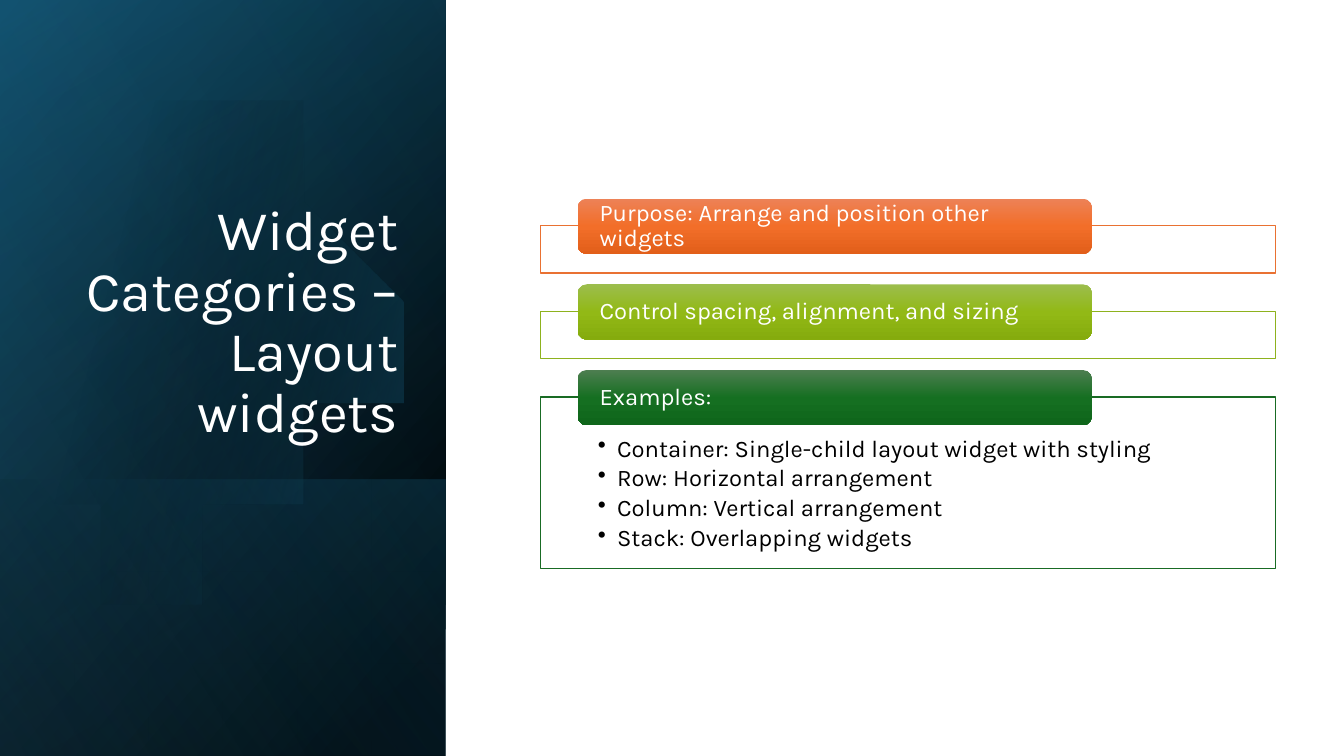
from pptx import Presentation
from pptx.dml.color import RGBColor
from pptx.enum import shapes, text
from pptx.oxml import parse_xml
from pptx.oxml import ns
from pptx.util import Inches, Pt

WHITE = RGBColor(0xFF, 0xFF, 0xFF)
BLACK = RGBColor(0x00, 0x00, 0x00)
NAVY = RGBColor(0x10, 0x48, 0x62)
TEAL = RGBColor(0x15, 0x60, 0x82)
SKY = RGBColor(0x46, 0xB1, 0xE1)
ORANGE = RGBColor(0xE9, 0x71, 0x32)
LIME = RGBColor(0x8E, 0xB2, 0x1E)
GREEN = RGBColor(0x19, 0x6B, 0x24)
ORANGE_SHADES = [RGBColor(0xED, 0x82, 0x57), RGBColor(0xF2, 0x6E, 0x29), RGBColor(0xE2, 0x5F, 0x1A)]
LIME_SHADES = [RGBColor(0x9C, 0xBD, 0x4E), RGBColor(0x92, 0xB9, 0x16), RGBColor(0x85, 0xAB, 0x0D)]
GREEN_SHADES = [RGBColor(0x4D, 0x7E, 0x50), RGBColor(0x15, 0x6F, 0x21), RGBColor(0x0F, 0x66, 0x1B)]

PANEL_WIDTH = 4.42
SLIDE_HEIGHT = 7.5
LABEL_OFFSET = 0.27
ROW_GAP = 0.11

# Each layer: top, height, gradient angle, stops of (position, colour, opacity)
PANEL_LAYERS = [
    (0, SLIDE_HEIGHT, 50, [(8, BLACK, 100), (100, NAVY, 100)]),
    (0, SLIDE_HEIGHT, 30, [(0, BLACK, 0), (99, TEAL, 46)]),
    (4.76, 2.74, 130, [(2, TEAL, 29), (100, BLACK, 30)]),
]
SHEEN = (0, SLIDE_HEIGHT, 120, [(0, BLACK, 0), (99, SKY, 11)])

CIRCLE_START = (1.49, 1.1)
CIRCLE_RIGHT = [
    [(2.46, 1.12), (3.35, 1.77), (3.63, 2.75)],
    [(3.98, 3.97), (3.28, 5.23), (2.07, 5.58)],
    [(1.31, 5.8), (0.53, 5.61), (0, 5.16)],
]
CIRCLE_LEFT = [
    [(0.23, 1.42), (0.5, 1.28), (0.8, 1.19)],
    [(1.03, 1.13), (1.26, 1.1), CIRCLE_START],
]

ROWS = [
    ("Purpose: Arrange and position other widgets", 0.47, ORANGE, ORANGE_SHADES, []),
    ("Control spacing, alignment, and sizing", 0.47, LIME, LIME_SHADES, []),
    ("Examples:", 1.7, GREEN, GREEN_SHADES, [
        "Container: Single-child layout widget with styling",
        "Row: Horizontal arrangement",
        "Column: Vertical arrangement",
        "Stack: Overlapping widgets",
    ]),
]


def curve_points(start, segments, steps=24):
    """Sample a chain of cubic Bézier segments."""
    points = []
    for first, second, end in segments:
        for step in range(1, steps + 1):
            t = step / steps
            u = 1 - t
            points.append(tuple(
                u**3 * a + 3 * u * u * t * b + 3 * u * t * t * c + t**3 * d
                for a, b, c, d in zip(start, first, second, end)))
        start = end
    return points


class WidgetSlide:
    font = "Karla"
    body_size = 17

    def __init__(self, presentation):
        self.slide = presentation.slides.add_slide(presentation.slide_layouts[5])

    def gradient(self, shape, angle, stops):
        """Fill with a linear gradient whose stops may be translucent."""
        shape.fill.background()
        marks = "".join(
            f'<a:gs pos="{position * 1000}"><a:srgbClr val="{color}">'
            f'<a:alpha val="{opacity * 1000}"/></a:srgbClr></a:gs>'
            for position, color, opacity in stops)
        properties = shape.element.spPr
        properties.replace(properties.find(ns.qn("a:noFill")), parse_xml(
            f'<a:gradFill {ns.nsdecls("a")} rotWithShape="1"><a:gsLst>{marks}</a:gsLst>'
            f'<a:lin ang="{angle * 60000}" scaled="0"/></a:gradFill>'))

    def shape(self, kind, left, top, width, height):
        shape = self.slide.shapes.add_shape(
            kind, Inches(left), Inches(top), Inches(width), Inches(height))
        shape.shadow.inherit = False
        shape.line.fill.background()
        return shape

    def panel(self, top, height, angle, stops):
        """Add a side panel layer, turned a quarter and mirrored."""
        shape = self.shape(shapes.MSO_SHAPE.RECTANGLE, (PANEL_WIDTH - height) / 2,
                           top + (height - PANEL_WIDTH) / 2, height, PANEL_WIDTH)
        shape.rotation = 90
        shape.element.spPr.xfrm.set("flipH", "1")
        self.gradient(shape, angle, stops)

    def circle(self):
        points = curve_points(CIRCLE_START, CIRCLE_RIGHT) + [(0, 1.61)]
        points += curve_points((0, 1.61), CIRCLE_LEFT)
        builder = self.slide.shapes.build_freeform(*CIRCLE_START, scale=Inches(1))
        builder.add_line_segments(points, close=True)
        shape = builder.convert_to_shape()
        shape.shadow.inherit = False
        shape.line.fill.background()
        self.gradient(shape, 14, [(29, BLACK, 0), (100, TEAL, 43)])

    def frame(self, shape, anchor, insets):
        frame = shape.text_frame
        frame.word_wrap = True
        frame.auto_size = text.MSO_AUTO_SIZE.NONE
        frame.vertical_anchor = anchor
        (frame.margin_left, frame.margin_top,
         frame.margin_right, frame.margin_bottom) = map(Inches, insets)
        return frame

    def add_words(self, paragraph, words, size, color, alignment=text.PP_ALIGN.LEFT):
        paragraph.alignment = alignment
        paragraph.line_spacing = 0.9
        run = paragraph.add_run()
        run.text = words
        run.font.name = self.font
        run.font.size = Pt(size)
        run.font.color.rgb = color

    def title(self, words):
        title = self.slide.shapes.title
        title.left, title.top = Inches(0.64), Inches(1.84)
        title.width, title.height = Inches(3.41), Inches(2.62)
        title.element.getparent().append(title.element)
        frame = self.frame(title, text.MSO_ANCHOR.BOTTOM, (0.1, 0.05, 0.1, 0.05))
        self.add_words(frame.paragraphs[0], words, 40, WHITE, text.PP_ALIGN.RIGHT)

    def box(self, top, height, color, bullets):
        shape = self.shape(shapes.MSO_SHAPE.RECTANGLE, 5.36, top, 7.29, height)
        shape.fill.solid()
        shape.fill.fore_color.rgb = WHITE
        shape.line.color.rgb = color
        shape.line.width = Pt(1)
        if not bullets:
            return
        frame = self.frame(shape, text.MSO_ANCHOR.TOP, (0.57, 0.39, 0.57, 0.13))
        for index, words in enumerate(bullets):
            paragraph = frame.add_paragraph() if index else frame.paragraphs[0]
            properties = paragraph._p.get_or_add_pPr()
            properties.set("marL", str(Inches(0.19)))
            properties.set("indent", str(-Inches(0.19)))
            properties.append(parse_xml(f'<a:buChar {ns.nsdecls("a")} char="•"/>'))
            paragraph.space_after = Pt(3)
            self.add_words(paragraph, words, self.body_size, BLACK)

    def label(self, top, words, shades):
        shape = self.shape(shapes.MSO_SHAPE.ROUNDED_RECTANGLE, 5.73, top, 5.1, 0.55)
        self.gradient(shape, 90, [(50 * i, shade, 100) for i, shade in enumerate(shades)])
        frame = self.frame(shape, text.MSO_ANCHOR.MIDDLE, (0.19, 0, 0.19, 0))
        self.add_words(frame.paragraphs[0], words, self.body_size, WHITE)


def main():
    presentation = Presentation()
    presentation.slide_width = Inches(13.33)
    presentation.slide_height = Inches(SLIDE_HEIGHT)
    slide = WidgetSlide(presentation)
    for layer in PANEL_LAYERS:
        slide.panel(*layer)
    slide.circle()
    slide.panel(*SHEEN)
    slide.title("Widget Categories – Layout widgets")

    top = 1.97
    for words, height, color, shades, bullets in ROWS:
        slide.box(top + LABEL_OFFSET, height, color, bullets)
        slide.label(top, words, shades)
        top += LABEL_OFFSET + height + ROW_GAP
    presentation.save("out.pptx")


if __name__ == "__main__":
    main()
